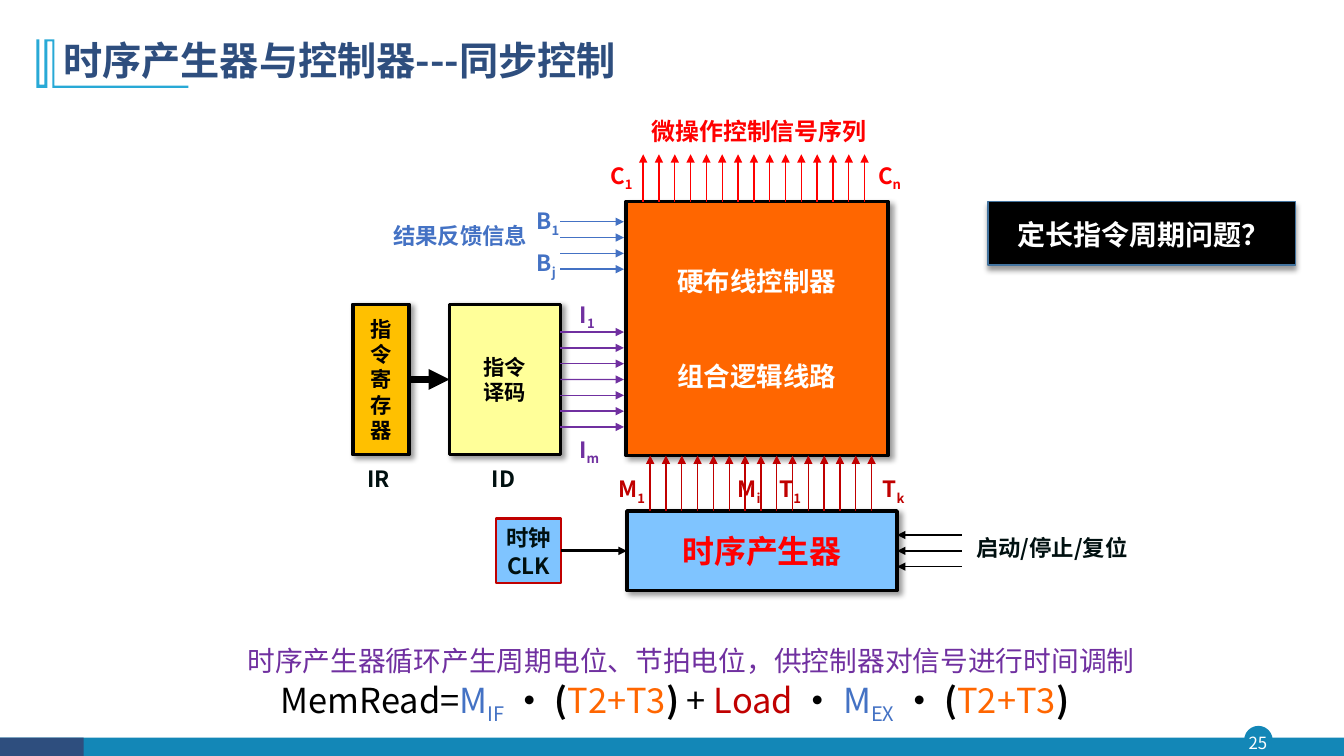
from lxml import etree
from pptx import Presentation
from pptx.dml.color import RGBColor
from pptx.enum.shapes import MSO_CONNECTOR, MSO_SHAPE
from pptx.enum.text import MSO_ANCHOR, PP_ALIGN
from pptx.oxml.ns import qn
from pptx.util import Pt

RECTANGLE, OVAL, STRAIGHT = MSO_SHAPE.RECTANGLE, MSO_SHAPE.OVAL, MSO_CONNECTOR.STRAIGHT
TOP, MIDDLE = MSO_ANCHOR.TOP, MSO_ANCHOR.MIDDLE
LEFT, CENTER = PP_ALIGN.LEFT, PP_ALIGN.CENTER
LEFT_SIDE, RIGHT_SIDE = 1, 3

BLACK = RGBColor(0x00, 0x00, 0x00)
WHITE = RGBColor(0xFF, 0xFF, 0xFF)
INK = RGBColor(0x00, 0x10, 0x10)
NAVY = RGBColor(0x2E, 0x4E, 0x7E)
TEAL = RGBColor(0x13, 0x87, 0xB7)
CYAN = RGBColor(0x28, 0xA9, 0xD6)
RED = RGBColor(0xFF, 0x00, 0x00)
DARK_RED = RGBColor(0xC0, 0x00, 0x00)
PURPLE = RGBColor(0x70, 0x30, 0xA0)
BLUE = RGBColor(0x44, 0x72, 0xC4)
STEEL = RGBColor(0x43, 0x73, 0x9E)
SKY = RGBColor(0x7F, 0xC4, 0xFF)
AMBER = RGBColor(0xFF, 0xC0, 0x00)
YELLOW = RGBColor(0xFF, 0xFF, 0x99)
ORANGE = RGBColor(0xFF, 0x66, 0x00)

MAIN_FONT, BOX_FONT = "Noto Sans CJK SC", "Cabin"
LINE, SUB_LINE, BOX_LINE = 1.24, 1.44, 1.19
SUBSCRIPT = "-25000"
ARROW_STEP = 11.3


def add_run(paragraph, text, color, size, bold=True, subscript=False, name=MAIN_FONT):
    run = paragraph.add_run()
    run.text = text
    for key, value in {"size": Pt(size), "bold": bold, "name": name}.items():
        setattr(run.font, key, value)
    run.font.color.rgb = color
    properties = run.font._element
    etree.SubElement(properties, qn("a:ea")).set("typeface", name)
    if subscript:
        properties.set("baseline", SUBSCRIPT)


def fill_text(shape, lines, size, spacing=LINE, anchor=TOP, align=CENTER, gap=0, wrap=True,
              name=MAIN_FONT):
    frame = shape.text_frame
    frame.word_wrap = wrap
    frame.vertical_anchor = anchor
    for index, runs in enumerate(lines):
        paragraph = frame.add_paragraph() if index else frame.paragraphs[0]
        spacing_value = spacing if spacing < 1 else Pt(round(size * spacing, 1))
        formats = {"alignment": align, "line_spacing": spacing_value,
                   "space_before": Pt(gap if index else 0)}
        for key, value in formats.items():
            setattr(paragraph, key, value)
        for text, color, bold, subscript in runs:
            add_run(paragraph, text, color, size, bold, subscript, name)


def plain(text, color, bold=True):
    return [(text, color, bold, False)]


def add_text(slide, box, lines, size, **formats):
    shape = slide.shapes.add_textbox(*map(Pt, box))
    fill_text(shape, lines, size, **formats)
    return shape


def add_block(slide, box, fill, line=None, width=1, kind=RECTANGLE, shadow_angle=None):
    shape = slide.shapes.add_shape(kind, *map(Pt, box))
    shape.shadow.inherit = False
    shape.fill.solid()
    shape.fill.fore_color.rgb = fill
    if line is None:
        shape.line.fill.background()
    else:
        shape.line.color.rgb = line
        shape.line.width = Pt(width)
    if shadow_angle is not None:
        effects = shape._element.spPr.find(qn("a:effectLst"))
        shadow = etree.SubElement(effects, qn("a:outerShdw"), blurRad=str(Pt(4)), dist=str(Pt(3)),
                                  dir=str(shadow_angle * 60000), algn="ctr", rotWithShape="0")
        color = etree.SubElement(shadow, qn("a:srgbClr"), val="000000")
        etree.SubElement(color, qn("a:alpha"), val="40000")
    return shape


def add_arrow(slide, start, end, color, width=1, source=None, target=None):
    arrow = slide.shapes.add_connector(STRAIGHT, *map(Pt, (*start, *end)))
    arrow.line.color.rgb = color
    arrow.line.width = Pt(width)
    etree.SubElement(arrow.line._ln, qn("a:tailEnd"), type="triangle")
    etree.SubElement(arrow._element.spPr, qn("a:effectLst"))
    if source is not None:
        arrow.begin_connect(source, RIGHT_SIDE)
    if target is not None:
        arrow.end_connect(*target)


def footer(slide, left, top, width):
    add_block(slide, (left + 889.2, top, 19.4, 19.4), TEAL, TEAL, kind=OVAL)
    add_block(slide, (left, top + 8, width, 13.5), TEAL)
    add_block(slide, (left, top + 8, 59.8, 13.5), NAVY)
    number = add_text(slide, (left + 887, top, 23, 22.3), [plain("25", WHITE, False)], 12,
                      anchor=MIDDLE)
    for side in ("left", "right", "top", "bottom"):
        setattr(number.text_frame, f"margin_{side}", 0)


def header(slide, left, top, width):
    outline = [(13, 0), (13, 33.1), (108.7, 33.1), (108.7, 34.6), (11.5, 34.6), (11.5, 1.4),
               (7.9, 1.4), (7.9, 34.6), (0, 34.6), (0, 0), (2.2, 0), (2.2, 32.4), (5.8, 32.4),
               (5.8, 0)]
    points = [(Pt(left + x), Pt(top + 7.9 + y)) for x, y in outline]
    builder = slide.shapes.build_freeform(*points[0], scale=1.0)
    builder.add_line_segments(points[1:], close=True)
    mark = builder.convert_to_shape()
    mark.shadow.inherit = False
    mark.fill.solid()
    mark.fill.fore_color.rgb = CYAN
    mark.line.fill.background()
    add_text(slide, (left + 12.3, top, width, 49), [plain("时序产生器与控制器---同步控制", NAVY)],
             28, spacing=0.9, anchor=MIDDLE, align=LEFT)


def diagram(slide, left, top):
    def place(x, y):
        return left + x, top + y

    blocks = {}
    for key, x, y, width, height, fill, lines, color, size, gap in (
        ("register", 0, 138.2, 40.3, 107.3, AMBER, ["指令寄存器"], BLACK, 15.2, 0),
        ("decoder", 69.1, 138.2, 79.2, 107.3, YELLOW, ["指令", "译码"], BLACK, 15.2, 0),
        ("controller", 195.1, 64.8, 187.2, 181.4, ORANGE, ["硬布线控制器", "组合逻辑线路"],
         WHITE, 18.9, 45.4),
        ("generator", 195.8, 285.8, 193, 56.9, SKY, ["时序产生器"], RED, 22.8, 0),
    ):
        blocks[key] = add_block(slide, (*place(x, y), width, height), fill, BLACK, 2.5,
                                shadow_angle=45)
        fill_text(blocks[key], [plain(line, color) for line in lines], size, spacing=BOX_LINE,
                  anchor=MIDDLE, gap=gap, name=BOX_FONT)
    clock = add_block(slide, (*place(102.2, 291.2), 46.8, 46.1), SKY, DARK_RED, 1.5)
    fill_text(clock, [plain("时钟", INK), plain("CLK", INK)], 16, wrap=False)

    for x, start, end, color in ((207.4, 64.8, 31, RED), (212.4, 285.8, 246.2, DARK_RED)):
        for index in range(15):
            column = x + index * ARROW_STEP
            add_arrow(slide, place(column, start), place(column, end), color)

    joined_rows = {("decode", 3): {"source": blocks["decoder"]},
                   ("command", 1): {"target": (blocks["generator"], RIGHT_SIDE)}}
    for key, count, y, start, end, color in (
        ("feedback", 4, 79.2, 148.3, 193.7, BLUE),
        ("decode", 7, 158, 148.3, 193.7, PURPLE),
        ("command", 3, 302.95, 434.9, 388.8, BLACK),
    ):
        for index in range(count):
            row = y + index * ARROW_STEP
            add_arrow(slide, place(start, row), place(end, row), color,
                      **joined_rows.get((key, index), {}))

    for source, target, width in ((blocks["register"], blocks["decoder"], 5),
                                  (clock, blocks["generator"], 2)):
        add_arrow(slide, place(0, 0), place(1, 0), BLACK, width, source, (target, LEFT_SIDE))

    for letter, index, center, y, color in (
        ("C", "1", 191.9, 31.7, RED), ("C", "n", 383.4, 31.7, RED),
        ("B", "1", 139.3, 64.1, BLUE), ("B", "j", 138.2, 94.3, BLUE),
        ("I", "1", 167.4, 131, PURPLE), ("I", "m", 168.8, 227.5, PURPLE),
        ("M", "1", 199.1, 255.6, DARK_RED), ("M", "i", 283, 255.6, DARK_RED),
        ("T", "1", 312.5, 255.6, DARK_RED), ("T", "k", 386.3, 255.6, DARK_RED),
    ):
        add_text(slide, (*place(center - 17, y), 34, 26.6),
                 [[(letter, color, True, False), (index, color, True, True)]], 16,
                 spacing=SUB_LINE, wrap=False)

    for text, x, y, width, color, size in (
        ("微操作控制信号序列", 205.2, 0, 170, RED, 17.1),
        ("结果反馈信息", 20.9, 75.6, 111.6, BLUE, 16),
        ("IR", 0, 249.1, 36.7, INK, 16),
        ("ID", 89.3, 249.1, 36.7, INK, 16),
        ("启动/停止/复位", 420.5, 298.1, 157.7, INK, 16),
    ):
        add_text(slide, (*place(x, y), width, 26.6), [plain(text, color)], size, wrap=False)


def question(slide, left, top, width, height):
    add_block(slide, (left, top, width, height), BLACK, STEEL, shadow_angle=90)
    add_text(slide, (left + 7.2, top + 7.2, 208, 31.7), [plain("定长指令周期问题？", WHITE)], 20)


def formulas(slide, left, top, width):
    caption = "时序产生器循环产生周期电位、节拍电位，供控制器对信号进行时间调制"
    add_text(slide, (left + 43.9, top, 784, 34.6), [[(caption, PURPLE, False, True)]], 34.1,
             spacing=SUB_LINE)
    timing = [(" · (", BLACK, True, False), ("T2+T3", ORANGE, False, False)]
    expression = [
        ("MemRead=", BLACK, False, False), ("M", BLUE, False, False), ("IF", BLUE, False, True),
        *timing, (") ", BLACK, True, False), ("+ ", BLACK, False, False),
        ("Load ", DARK_RED, False, False), ("· ", BLACK, True, False),
        ("M", BLUE, False, False), ("EX", BLUE, False, True), *timing, (")", BLACK, True, False),
    ]
    add_text(slide, (left, top + 49, width, 37.4), [expression], 24.6, spacing=SUB_LINE)


def main():
    presentation = Presentation()
    presentation.slide_width, presentation.slide_height = Pt(960), Pt(540)
    slide = presentation.slides.add_slide(presentation.slide_layouts[6])
    footer(slide, 0, 519, 960)
    header(slide, 25.9, 20.2, 828)
    diagram(slide, 252, 79.2)
    formulas(slide, 57.6, 430.6, 848.9)
    question(slide, 705.6, 144, 219.6, 45.4)
    presentation.save("out.pptx")


if __name__ == "__main__":
    main()
